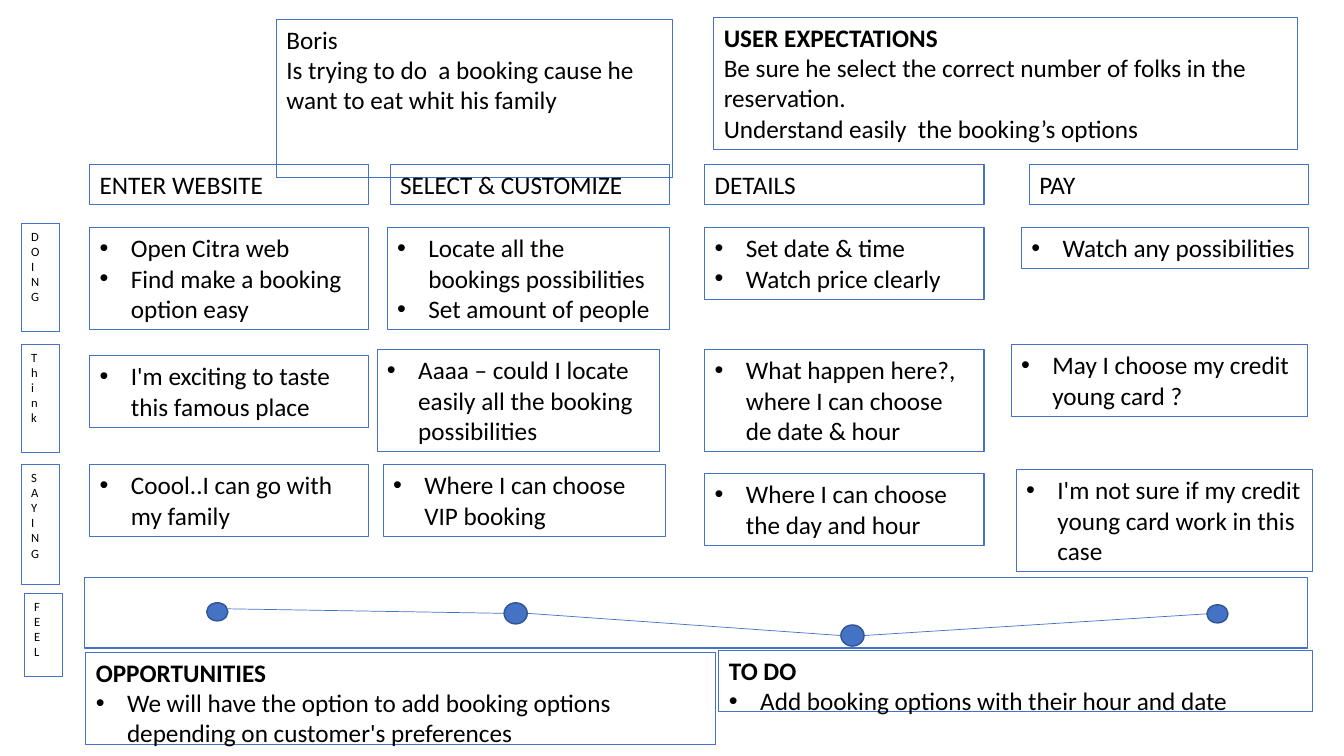
import dataclasses
import itertools

import lxml.etree
import pptx
import pptx.dml.color
import pptx.enum.shapes
import pptx.enum.text
import pptx.oxml.ns
import pptx.util

Inches = pptx.util.Inches
Kind = pptx.enum.shapes.MSO_SHAPE
BLUE = pptx.dml.color.RGBColor(0x44, 0x72, 0xC4)
NAVY = pptx.dml.color.RGBColor(0x32, 0x54, 0x91)
BLACK = pptx.dml.color.RGBColor(0, 0, 0)
FONT = "Calibri"
HANG = Inches(0.31)


@dataclasses.dataclass(frozen=True)
class Box:
    """A framed text; paragraphs from index `first` on have bullets."""
    left: float
    top: float
    width: float
    rows: int
    text: str
    first: int = 0
    bold: bool = False
    wrap: bool = True

    @property
    def height(self) -> float:
        """Height that holds the wrapped rows."""
        return round(0.1 + 0.303 * self.rows, 2)


@dataclasses.dataclass(frozen=True)
class Label:
    """A stacked row label."""
    left: float
    top: float
    height: float
    text: str


@dataclasses.dataclass(frozen=True)
class Dot:
    """A mood point; `lift` raises the start of its outgoing line."""
    left: float
    top: float
    width: float
    height: float
    lift: float = 0

    @property
    def mid(self) -> float:
        """Vertical centre."""
        return self.top + self.height / 2


PLAIN = 99  # no paragraph has a bullet
GOAL = Box(2.74, 0.19, 3.93, 3, "Boris\nIs trying to do  a booking cause he "
           "want to eat whit his family", PLAIN)
CHANCE = Box(0.85, 6.47, 6.25, 3, "OPPORTUNITIES\nWe will have the option to add "
             "booking options depending on customer's preferences", 1, True)
TASK = Box(7.13, 6.45, 5.89, 2,
           "TO DO\nAdd booking options with their hour and date", 1, True)
HOPES = Box(7.08, 0.17, 5.79, 4, "USER EXPECTATIONS\nBe sure he select the correct "
            "number of folks in the reservation.\n"
            "Understand easily  the booking’s options", PLAIN, True)

STAGES = [Box(left, 1.63, 2.77, 1, text, PLAIN) for left, text in (
    (0.89, "ENTER WEBSITE"), (3.87, "SELECT & CUSTOMIZE"),
    (6.99, "DETAILS"), (10.21, "PAY"))]

NOTES = [
    # Doing
    Box(0.89, 2.26, 2.77, 3, "Open Citra web\nFind make a booking option easy"),
    Box(3.84, 2.26, 2.8, 3,
        "Locate all the bookings possibilities\nSet amount of people"),
    Box(6.99, 2.26, 2.77, 2, "Set date & time\nWatch price clearly"),
    Box(10.13, 2.26, 2.85, 1, "Watch any possibilities", wrap=False),
    # Think
    Box(0.89, 3.53, 2.77, 2, "I'm exciting to taste this famous place"),
    Box(3.74, 3.47, 2.8, 3,
        "Aaaa – could I locate easily all the booking possibilities"),
    Box(6.99, 3.47, 2.77, 3, "What happen here?, where I can choose de date & hour"),
    Box(10.03, 3.42, 2.94, 2, "May I choose my credit young card ?"),
    # Saying
    Box(0.89, 4.61, 2.77, 2, "Coool..I can go with my family"),
    Box(3.8, 4.61, 2.8, 2, "Where I can choose VIP booking"),
    Box(6.99, 4.7, 2.77, 2, "Where I can choose the day and hour"),
    Box(10.08, 4.66, 2.94, 3,
        "I'm not sure if my credit young card work in this case"),
]

LABELS = [Label(0.21, 2.22, 1.07, "DOING"), Label(0.21, 3.42, 1.07, "Think"),
          Label(0.21, 4.61, 1.19, "SAYING"), Label(0.24, 5.89, 0.82, "FEEL")]

MOODS = [Dot(2.05, 5.98, 0.21, 0.18, 0.03), Dot(5, 5.98, 0.23, 0.21),
         Dot(8.34, 6.2, 0.23, 0.21), Dot(11.97, 6, 0.21, 0.18)]


def outline(shape, colour: pptx.dml.color.RGBColor, weight: float) -> None:
    """Give a shape or line its stroke."""
    shape.line.color.rgb = colour
    shape.line.width = pptx.util.Pt(weight)


def mark(para, listed: bool) -> None:
    """Set or clear the bullet of a paragraph."""
    props = para._p.get_or_add_pPr()
    props.set("marL", str(HANG if listed else 0))
    props.set("indent", str(-HANG if listed else 0))
    name = pptx.oxml.ns.qn
    if listed:
        lxml.etree.SubElement(props, name("a:buFont")).set("typeface", "Arial")
        lxml.etree.SubElement(props, name("a:buChar")).set("char", "•")
    else:
        lxml.etree.SubElement(props, name("a:buNone"))


def write(shape, text: str, size: float, first: int = PLAIN,
          bold: bool = False, wrap: bool = True) -> None:
    """Fill a framed shape with text; `bold` sets only the heading."""
    outline(shape, BLUE, 0.75)
    frame = shape.text_frame
    frame.text = text
    frame.word_wrap = wrap
    frame.auto_size = pptx.enum.text.MSO_AUTO_SIZE.SHAPE_TO_FIT_TEXT
    frame.vertical_anchor = pptx.enum.text.MSO_ANCHOR.TOP
    for place, para in enumerate(frame.paragraphs):
        para.alignment = pptx.enum.text.PP_ALIGN.LEFT
        para.space_before = pptx.util.Pt(0)
        mark(para, place >= first)
        for run in para.runs:
            run.font.name = FONT
            run.font.size = pptx.util.Pt(size)
            run.font.bold = bold and place == 0
            run.font.color.rgb = BLACK


def place_box(shape, box: Box) -> None:
    """Move a shape to its box and write the text."""
    shape.left, shape.top = Inches(box.left), Inches(box.top)
    shape.width, shape.height = Inches(box.width), Inches(box.height)
    write(shape, box.text, 18, box.first, box.bold, box.wrap)


def add_label(slide, label: Label) -> None:
    """Add a label with its letters stacked."""
    shape = slide.shapes.add_textbox(Inches(label.left), Inches(label.top),
                                     Inches(0.38), Inches(label.height))
    write(shape, label.text, 9)
    shape.text_frame._txBody.bodyPr.set("vert", "wordArtVert")


def add_dot(slide, dot: Dot) -> None:
    """Add a mood point."""
    shape = slide.shapes.add_shape(Kind.OVAL, Inches(dot.left), Inches(dot.top),
                                   Inches(dot.width), Inches(dot.height))
    shape.shadow.inherit = False
    shape.fill.solid()
    shape.fill.fore_color.rgb = BLUE
    outline(shape, NAVY, 1)


def link(slide, start: Dot, end: Dot) -> None:
    """Join two mood points side to side."""
    line = slide.shapes.add_connector(
        pptx.enum.shapes.MSO_CONNECTOR.STRAIGHT,
        Inches(start.left + start.width), Inches(start.mid - start.lift),
        Inches(end.left), Inches(end.mid))
    outline(line, BLUE, 0.5)
    lxml.etree.SubElement(line._element.spPr, pptx.oxml.ns.qn("a:effectLst"))


def add_feel(slide) -> None:
    """Draw the mood band with its curve."""
    band = slide.shapes.add_shape(Kind.RECTANGLE, Inches(0.84), Inches(5.73),
                                  Inches(12.13), Inches(0.7))
    band.shadow.inherit = False
    band.fill.background()
    outline(band, BLUE, 1)
    for start, end in itertools.pairwise(MOODS):
        link(slide, start, end)
    for dot in MOODS:
        add_dot(slide, dot)


def main() -> None:
    """Build and save the journey map."""
    deck = pptx.Presentation()
    deck.slide_width, deck.slide_height = Inches(13.33), Inches(7.5)
    slide = deck.slides.add_slide(deck.slide_layouts[3])
    for holder, box in zip(slide.placeholders, (GOAL, CHANCE, TASK)):
        place_box(holder, box)
    for box in (HOPES, *STAGES, *NOTES):
        place_box(slide.shapes.add_textbox(0, 0, 0, 0), box)
    for label in LABELS:
        add_label(slide, label)
    add_feel(slide)
    deck.save("out.pptx")


main()
